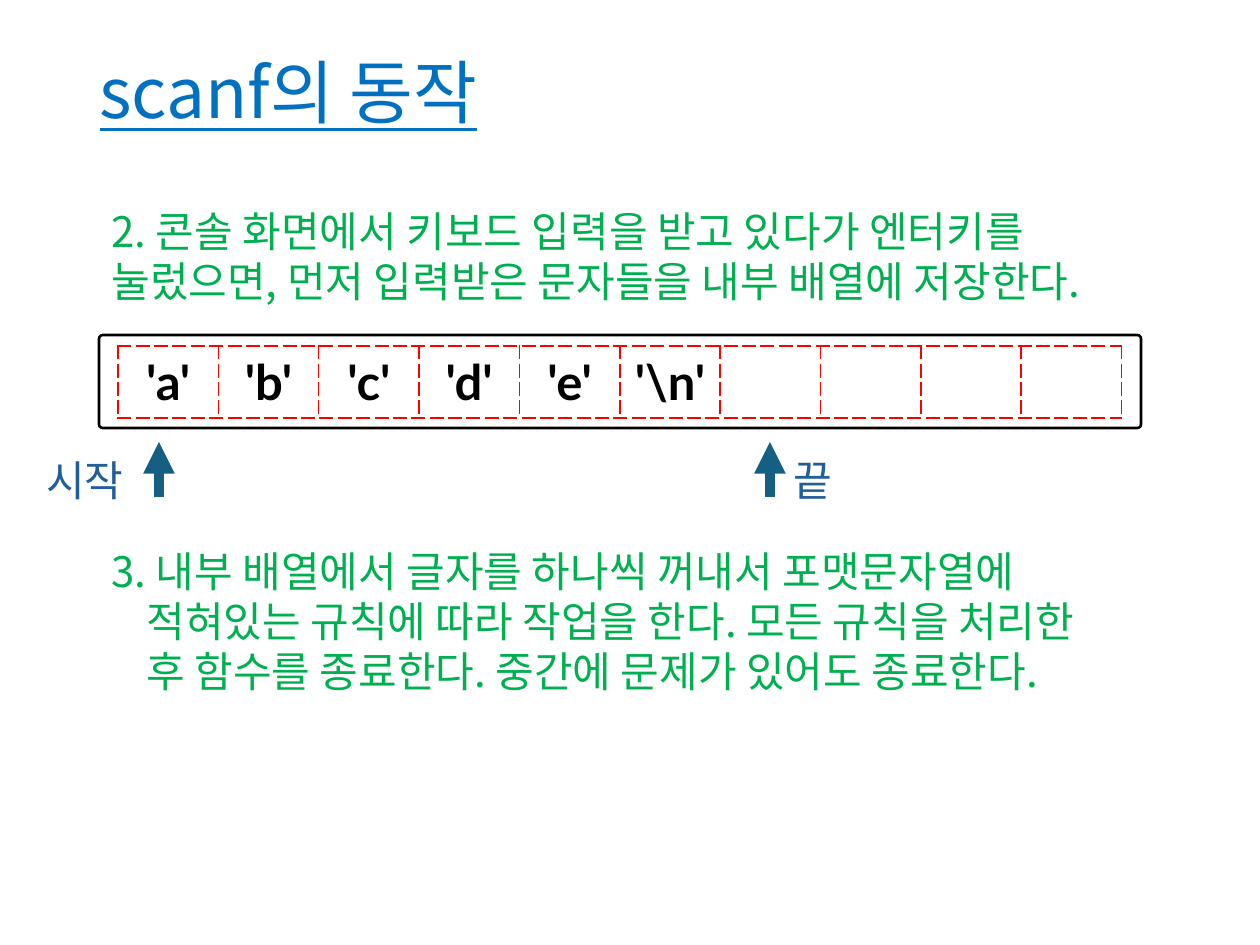
from lxml.etree import SubElement
from pptx import Presentation
from pptx.dml.color import RGBColor
from pptx.enum.shapes import MSO_CONNECTOR, MSO_SHAPE
from pptx.enum.text import MSO_ANCHOR, MSO_AUTO_SIZE, PP_ALIGN
from pptx.oxml import parse_xml
from pptx.oxml.ns import nsdecls, qn
from pptx.util import Emu, Pt

PX_PER_INCH = 126
KOREAN_FONT = "Noto Sans CJK KR"
CODE_FONT = "Lato"
TITLE_BLUE = RGBColor(0x00, 0x70, 0xC0)
STEP_GREEN = RGBColor(0x00, 0xB0, 0x50)
LABEL_BLUE = RGBColor(0x21, 0x5F, 0x9A)
ARROW_TEAL = RGBColor(0x15, 0x60, 0x82)
BLACK = RGBColor(0, 0, 0)
WHITE = RGBColor(0xFF, 0xFF, 0xFF)
BORDER_RED = "FF0000"

BUFFER = ["'a'", "'b'", "'c'", "'d'", "'e'", "'\\n'", "", "", "", ""]
READ_STEP = ["2. 콘솔 화면에서 키보드 입력을 받고 있다가 엔터키를\v"
             "눌렀으면, 먼저 입력받은 문자들을 내부 배열에 저장한다."]
PROCESS_STEP = ["3. 내부 배열에서 글자를 하나씩 꺼내서 포맷문자열에",
                "적혀있는 규칙에 따라 작업을 한다. 모든 규칙을 처리한",
                "후 함수를 종료한다. 중간에 문제가 있어도 종료한다."]


def px(length):
    return Emu(round(length * 914400 / PX_PER_INCH))


def write(frame, lines, size=24, color=BLACK, font=KOREAN_FONT, bold=False,
          underline=False, align=PP_ALIGN.LEFT, spacing=None, hanging=0):
    """Fill a text frame, one paragraph a line; hanging indents all but the first."""
    for number, line in enumerate(lines):
        paragraph = frame.paragraphs[0] if number == 0 else frame.add_paragraph()
        paragraph.text = line
        paragraph.alignment = align
        paragraph.line_spacing = spacing
        if number and hanging:
            paragraph._p.get_or_add_pPr().set("marL", str(px(hanging)))
        for run in paragraph.runs:
            run.font.size = Pt(size)
            run.font.bold = bold
            run.font.underline = underline
            run.font.color.rgb = color
            run.font.name = font
            SubElement(run._r.get_or_add_rPr(), qn("a:ea"), typeface=font)


def add_text(slide, left, top, width, height, lines, **text_format):
    frame = slide.shapes.add_textbox(px(left), px(top), px(width), px(height)).text_frame
    frame.word_wrap = True
    frame.auto_size = MSO_AUTO_SIZE.SHAPE_TO_FIT_TEXT
    write(frame, lines, **text_format)


def set_title(slide, text):
    title = slide.shapes.title
    title.left, title.top, title.width, title.height = px(87), px(50), px(1138), px(93)
    title.text_frame.vertical_anchor = MSO_ANCHOR.MIDDLE
    write(title.text_frame, [text], size=39.6, color=TITLE_BLUE,
          underline=True, spacing=0.9)


def add_frame(slide):
    outline = slide.shapes.add_shape(MSO_SHAPE.ROUNDED_RECTANGLE,
                                     px(99), px(335), px(1042), px(93))
    outline.adjustments[0] = 0.04
    outline.shadow.inherit = False
    outline.fill.solid()
    outline.fill.fore_color.rgb = WHITE
    outline.line.color.rgb = BLACK
    outline.line.width = Pt(1.5)


def set_dashed_borders(cell):
    properties = cell._tc.get_or_add_tcPr()
    for position, side in enumerate(("lnL", "lnR", "lnT", "lnB")):
        properties.insert(position, parse_xml(
            f'<a:{side} {nsdecls("a")} w="{Pt(1)}"><a:solidFill>'
            f'<a:srgbClr val="{BORDER_RED}"/></a:solidFill>'
            f'<a:prstDash val="dash"/></a:{side}>'))


def add_buffer(slide, characters):
    cell_width = 100.4
    table = slide.shapes.add_table(1, len(characters), px(118), px(346),
                                   px(cell_width * len(characters)), px(72)).table
    table.first_row = table.horz_banding = False
    for column, character in enumerate(characters):
        table.columns[column].width = px(cell_width)
        cell = table.cell(0, column)
        cell.fill.background()
        set_dashed_borders(cell)
        if character:
            write(cell.text_frame, [character], size=28, font=CODE_FONT,
                  bold=True, align=PP_ALIGN.CENTER)


def add_up_arrow(slide, x):
    arrow = slide.shapes.add_connector(MSO_CONNECTOR.STRAIGHT,
                                       px(x), px(497), px(x), px(442))
    arrow.line.color.rgb = ARROW_TEAL
    arrow.line.width = Pt(6)
    SubElement(arrow.line._get_or_add_ln(), qn("a:tailEnd"), type="triangle")
    SubElement(arrow._element.spPr, qn("a:effectLst"))


def main():
    deck = Presentation()
    deck.slide_width, deck.slide_height = px(1260), px(945)
    slide = deck.slides.add_slide(deck.slide_layouts[5])
    set_title(slide, "scanf의 동작")
    add_text(slide, 99, 199, 1138, 115, READ_STEP, color=STEP_GREEN)
    add_frame(slide)
    add_buffer(slide, BUFFER)
    for label, label_left, arrow_x in (("시작", 34, 159), ("끝", 781, 770)):
        add_up_arrow(slide, arrow_x)
        add_text(slide, label_left, 448, 113, 63, [label], color=LABEL_BLUE)
    add_text(slide, 99, 539, 1138, 165, PROCESS_STEP, color=STEP_GREEN, hanging=35)
    deck.save("out.pptx")


if __name__ == "__main__":
    main()
